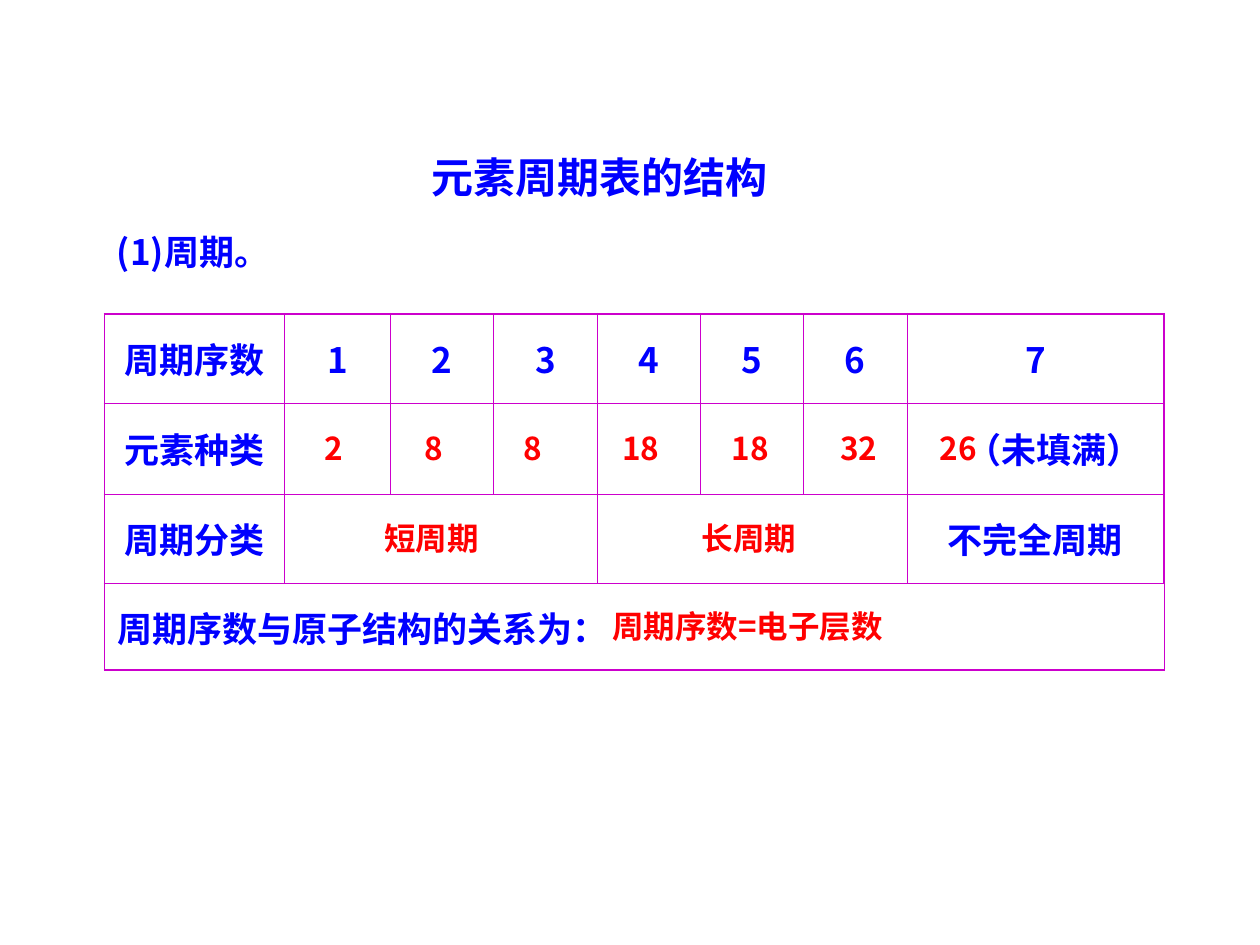
import pptx
import pptx.util
import pptx.dml.color
import pptx.enum.text
import lxml.etree
from pptx.oxml.ns import qn

Inches, Pt = pptx.util.Inches, pptx.util.Pt
PP_ALIGN = pptx.enum.text.PP_ALIGN
MIDDLE = pptx.enum.text.MSO_ANCHOR.MIDDLE
BLUE = pptx.dml.color.RGBColor(0x00, 0x00, 0xFF)
RED = pptx.dml.color.RGBColor(0xFF, 0x00, 0x00)
PURPLE = pptx.dml.color.RGBColor(0xCC, 0x00, 0xCC)
CJK = "Noto Sans CJK SC"


def write(tf, text, size, color, align=PP_ALIGN.LEFT, font=CJK):
    """Put one bold line into a text frame, with Latin and East Asian fonts."""
    p = tf.paragraphs[0]
    p.alignment = align
    r = p.add_run()
    r.text = text
    for name, value in {"name": font, "size": Pt(size), "bold": True}.items():
        setattr(r.font, name, value)
    r.font.color.rgb = color
    lxml.etree.SubElement(r.font._element, qn("a:ea"), typeface=CJK)


def set_borders(cell, widths):
    """Draw the left, right, top and bottom borders, widths in points."""
    tcPr = cell._tc.get_or_add_tcPr()
    for i, (side, width) in enumerate(zip("LRTB", widths)):
        ln = lxml.etree.Element(qn("a:ln" + side), w=str(Pt(width)))
        fill = lxml.etree.SubElement(ln, qn("a:solidFill"))
        lxml.etree.SubElement(fill, qn("a:srgbClr"), val=str(PURPLE))
        tcPr.insert(i, ln)


prs = pptx.Presentation()
prs.slide_width, prs.slide_height = Inches(10), Inches(7.5)
s = prs.slides.add_slide(prs.slide_layouts[5])

# Title
title = s.shapes.title
title.left, title.top = Inches(1.61), Inches(1.15)
title.width, title.height = Inches(6.3), Inches(0.5)
tf = title.text_frame
tf.auto_size = pptx.enum.text.MSO_AUTO_SIZE.NONE
tf.vertical_anchor = MIDDLE
write(tf, "元素周期表的结构", 24, BLUE, PP_ALIGN.CENTER, "Arial")

# Table of periods
col_widths = [1.43, 0.84] + [0.82] * 5 + [2.04]
row_heights = [0.71, 0.72, 0.71, 0.69]
rows = [
    ["周期序数", "1", "2", "3", "4", "5", "6", "7"],
    ["元素种类", "", "", "", "", "", "", "（未填满）"],
    ["周期分类", "", "", "", "", "", "", "不完全周期"],
    ["周期序数与原子结构的关系为：", "", "", "", "", "", "", ""],
]
last_row, last_col = len(rows) - 1, len(col_widths) - 1
table = s.shapes.add_table(
    len(rows), len(col_widths), Inches(0.83), Inches(2.49),
    Inches(sum(col_widths)), Inches(sum(row_heights))).table
table.first_row = table.horz_banding = False
for col, width in zip(table.columns, col_widths):
    col.width = Inches(width)
for row, height in zip(table.rows, row_heights):
    row.height = Inches(height)

OUTER, INNER = 1.08, 0.45
for i, row in enumerate(rows):
    for j, text in enumerate(row):
        cell = table.cell(i, j)
        cell.fill.background()
        cell.vertical_anchor = MIDDLE
        edges = (j == 0, j == last_col, i == 0, i == last_row)
        set_borders(cell, [OUTER if edge else INNER for edge in edges])
        if text:
            align = PP_ALIGN.LEFT if i == last_row else PP_ALIGN.CENTER
            font = CJK if i == 0 else "Arial"
            write(cell.text_frame, text, 20, BLUE, align, font)
table.cell(1, last_col).margin_left = Inches(0.4)  # room for the count
for i, first, last in [(2, 1, 3), (2, 4, 6), (3, 0, last_col)]:
    table.cell(i, first).merge(table.cell(i, last))

# Section heading and red answers: text, left, top, width, height, size, colour
labels = [("(1)周期。", 0.83, 1.78, 4.17, 0.44, 20, BLUE)]
counts = ["2", "8", "8", "18", "18", "32", "26"]
count_lefts = [2.48, 3.27, 4.06, 4.84, 5.71, 6.57, 7.36]
for text, left in zip(counts, count_lefts):
    labels.append((text, left, 3.36, 0.63, 0.4, 18, RED))
labels += [
    ("短周期", 2.95, 4.07, 1.57, 0.4, 18, RED),
    ("长周期", 5.47, 4.07, 1.57, 0.4, 18, RED),
    ("周期序数=电子层数", 4.76, 4.77, 2.91, 0.4, 18, RED),
]
for text, left, top, width, height, size, color in labels:
    tf = s.shapes.add_textbox(
        Inches(left), Inches(top), Inches(width), Inches(height)).text_frame
    tf.word_wrap = True
    write(tf, text, size, color)

prs.save("out.pptx")
